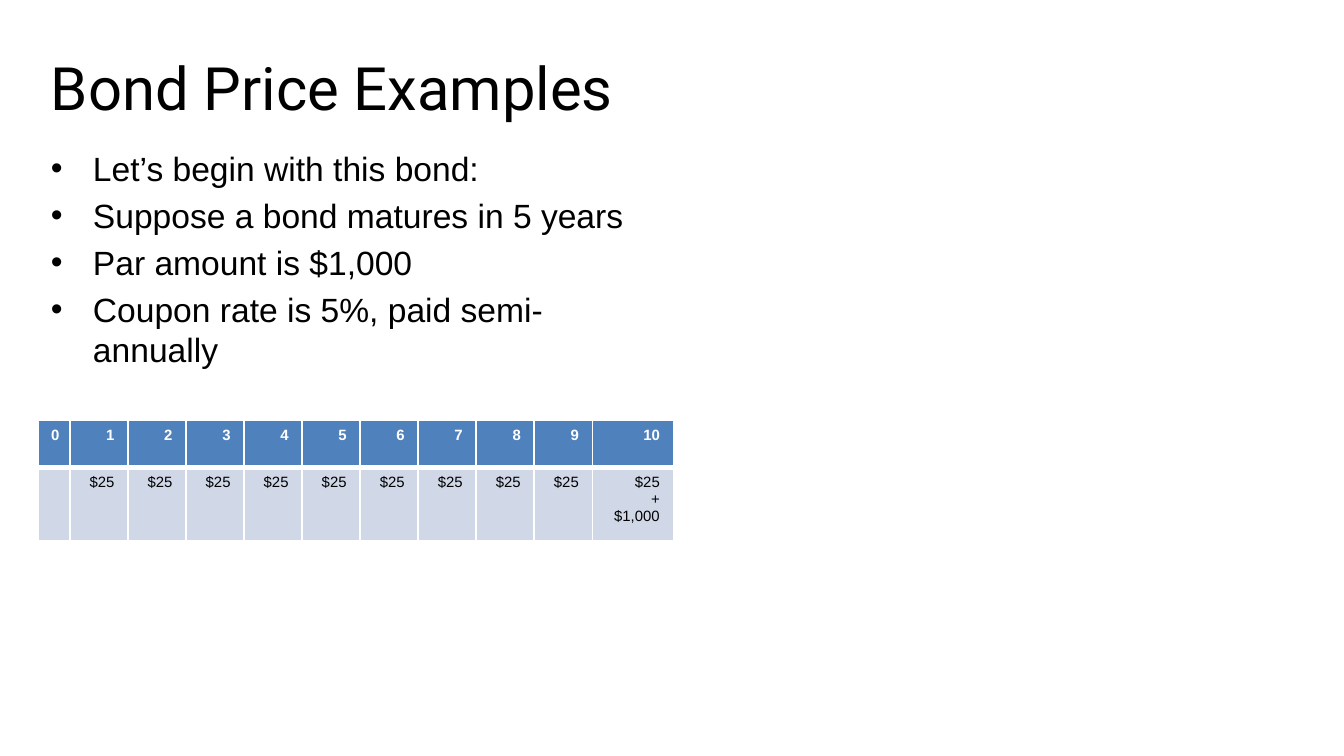
from lxml import etree
from pptx import Presentation
from pptx.dml.color import RGBColor
from pptx.enum.text import MSO_ANCHOR, PP_ALIGN
from pptx.oxml.ns import qn
from pptx.util import Pt

BLACK = RGBColor(0x00, 0x00, 0x00)
WHITE = RGBColor(0xFF, 0xFF, 0xFF)
HEADER_BLUE = RGBColor(0x4F, 0x81, 0xBD)
ROW_BLUE = RGBColor(0xD0, 0xD8, 0xE8)

BULLETS = [
    "Let’s begin with this bond:",
    "Suppose a bond matures in 5 years",
    "Par amount is $1,000",
    "Coupon rate is 5%, paid semi-annually",
]
PERIODS = [str(n) for n in range(11)]
PAYMENTS = [""] + ["$25"] * 9 + ["$25\n+\n$1,000"]


def format_font(font, name, size, color, bold=False):
    font.name = name
    font.size = Pt(size)
    font.color.rgb = color
    font.bold = bold


def add_borders(cell, bottom):
    """Draw white 1 pt cell borders, with the bottom one as wide as given."""
    tcPr = cell._tc.get_or_add_tcPr()
    for tag, width in (("lnL", 1), ("lnR", 1), ("lnT", 1), ("lnB", bottom)):
        ln = etree.SubElement(tcPr, qn(f"a:{tag}"), w=str(Pt(width)))
        fill = etree.SubElement(ln, qn("a:solidFill"))
        etree.SubElement(fill, qn("a:srgbClr"), val=str(WHITE))


prs = Presentation()
prs.slide_width = Pt(720)
prs.slide_height = Pt(405)
s = prs.slides.add_slide(prs.slide_layouts[6])

# Bullets
tf = s.shapes.add_textbox(Pt(20.2), Pt(75.6), Pt(339.8), Pt(280.8)).text_frame
tf.word_wrap = True
tf.text = "\n".join(BULLETS)
for i, p in enumerate(tf.paragraphs):
    pPr = p._p.get_or_add_pPr()
    pPr.set("marL", str(Pt(22.5)))
    pPr.set("indent", str(Pt(-22.5)))
    etree.SubElement(pPr, qn("a:buFont"), typeface="Arial")
    etree.SubElement(pPr, qn("a:buChar"), char="•")
    if i:
        p.space_before = Pt(3.6)
    format_font(p.runs[0].font, "Arial", 18, BLACK)

# Title
tf = s.shapes.add_textbox(Pt(20.2), Pt(21.6), Pt(486.7), Pt(54)).text_frame
tf.word_wrap = True
tf.vertical_anchor = MSO_ANCHOR.MIDDLE
tf.text = "Bond Price Examples"
p = tf.paragraphs[0]
p.line_spacing = 0.9
format_font(p.runs[0].font, "Roboto", 32, BLACK)

# Cash flow table
table = s.shapes.add_table(2, 11, Pt(20.2), Pt(225), Pt(340.1), Pt(64.8)).table
for column, width in zip(table.columns, [16.8] + [31.1] * 9 + [43.4]):
    column.width = Pt(width)
table.rows[0].height = Pt(25.2)
table.rows[1].height = Pt(39.6)

ROWS = [
    (PERIODS, HEADER_BLUE, WHITE, True, 3),
    (PAYMENTS, ROW_BLUE, BLACK, False, 1),
]
for row, (texts, fill, color, bold, bottom) in zip(table.rows, ROWS):
    for cell, text in zip(row.cells, texts):
        add_borders(cell, bottom)
        cell.fill.solid()
        cell.fill.fore_color.rgb = fill
        cell.text_frame.text = text
        for p in cell.text_frame.paragraphs:
            p.alignment = PP_ALIGN.RIGHT
            for r in p.runs:
                format_font(r.font, "Arial", 8, color, bold)

prs.save("out.pptx")
